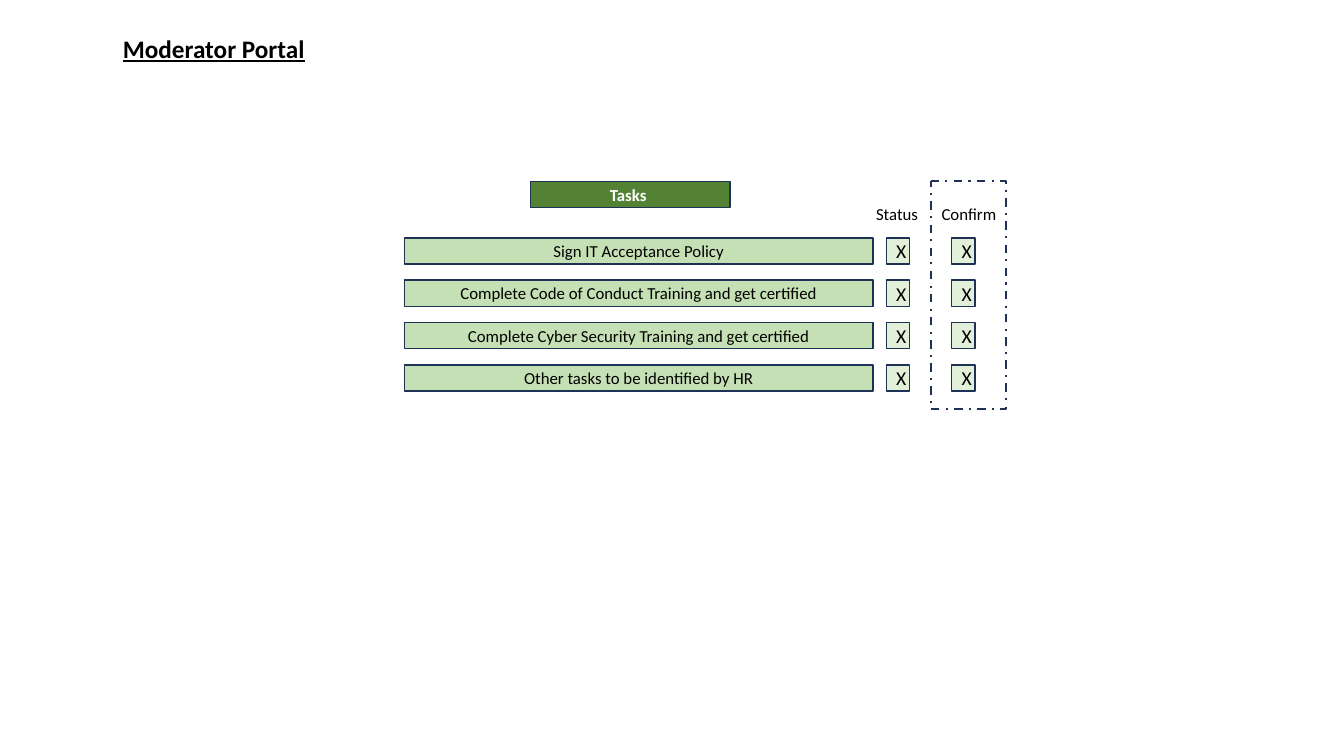
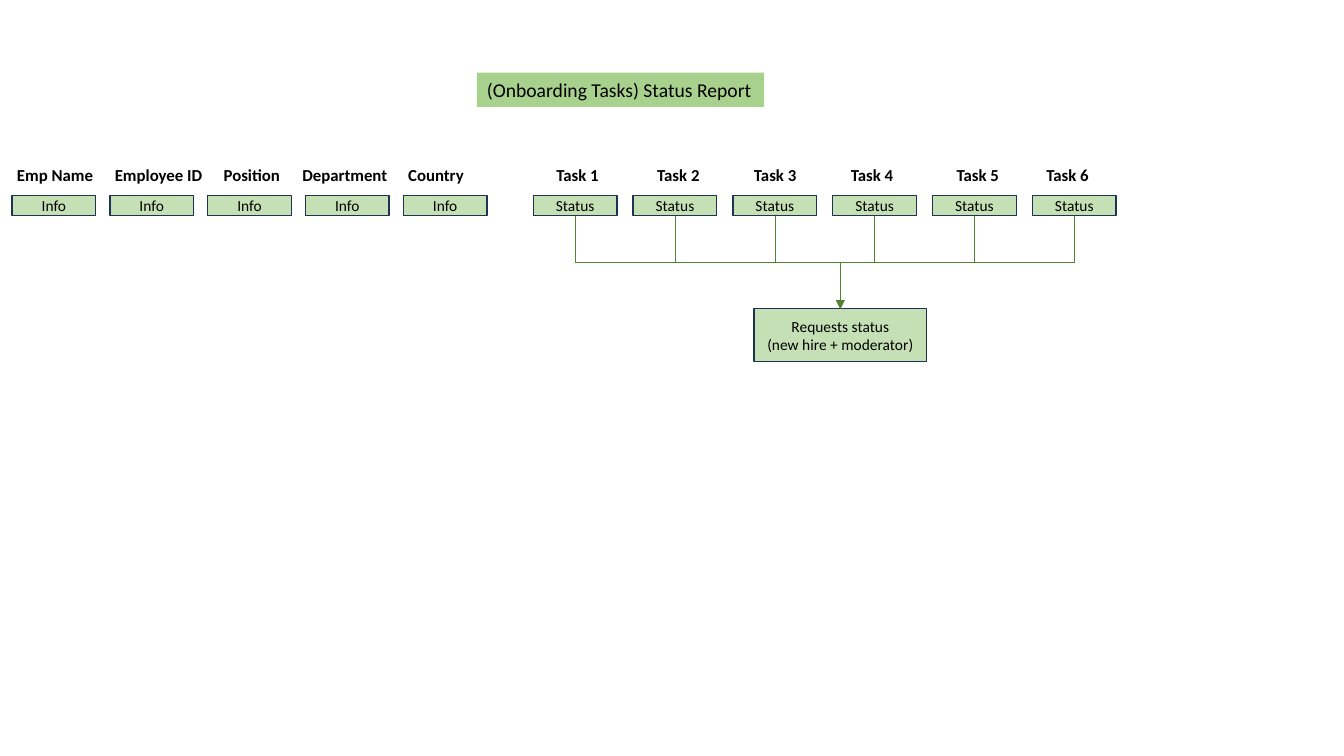
import pptx
import pptx.util
import pptx.dml.color
import pptx.enum.dml
import pptx.enum.shapes
import pptx.enum.text
import pptx.oxml.ns
import lxml.etree

Inches = pptx.util.Inches
Shape = pptx.enum.shapes.MSO_SHAPE
Anchor = pptx.enum.text.MSO_ANCHOR
Align = pptx.enum.text.PP_ALIGN
qn = pptx.oxml.ns.qn

FONT = "Calibri"
COLORS = {
    "text": "000000",
    "white": "FFFFFF",
    "outline": "1E3256",
    "dark": "548235",
    "banner": "A9D18E",
    "box": "C5E0B4",
    "check": "E2F0D9",
}


def rgb(name):
    return pptx.dml.color.RGBColor.from_string(COLORS[name])


def write(frame, text, size, color="text", bold=False, underline=False, align=Align.LEFT):
    frame.text = text
    for paragraph in frame.paragraphs:
        paragraph.alignment = align
        for run in paragraph.runs:
            run.font.name = FONT
            run.font.size = pptx.util.Pt(size)
            run.font.bold = bold
            run.font.underline = underline
            run.font.color.rgb = rgb(color)


def add_label(slide, text, left, top, width, height, size, **style):
    """One-line text that keeps its own width."""
    label = slide.shapes.add_textbox(Inches(left), Inches(top), Inches(width), Inches(height))
    write(label.text_frame, text, size, **style)
    label.text_frame.word_wrap = False
    label.text_frame.auto_size = pptx.enum.text.MSO_AUTO_SIZE.SHAPE_TO_FIT_TEXT
    return label


def add_box(slide, text, left, top, width, height, size, fill="box", **style):
    """Outlined rectangle with centred text."""
    box = slide.shapes.add_shape(
        Shape.RECTANGLE, Inches(left), Inches(top), Inches(width), Inches(height))
    box.shadow.inherit = False
    box.fill.solid()
    box.fill.fore_color.rgb = rgb(fill)
    box.line.color.rgb = rgb("outline")
    box.line.width = pptx.util.Pt(1)
    box.text_frame.vertical_anchor = Anchor.MIDDLE
    write(box.text_frame, text, size, align=Align.CENTER, **style)
    return box


def add_drop_arrow(slide, source, target):
    """Elbow arrow from the bottom of source, down and across to the top of target."""
    start_x, start_y = source.left + source.width // 2, source.top + source.height
    end_x, end_y = target.left + target.width // 2, target.top
    arrow = slide.shapes.add_connector(
        pptx.enum.shapes.MSO_CONNECTOR.ELBOW, start_x, start_y, end_x, end_y)
    arrow.begin_connect(source, 2)
    arrow.end_connect(target, 0)

    # Turn the elbow so that it leaves and arrives vertically
    drop, shift = end_y - start_y, abs(end_x - start_x)
    arrow.left = (start_x + end_x - drop) // 2
    arrow.top = (start_y + end_y - shift) // 2
    arrow.width, arrow.height = drop, shift
    to_right = end_x > start_x
    properties = arrow._element.spPr
    xfrm = properties.find(qn("a:xfrm"))
    xfrm.set("rot", str((270 if to_right else 90) * 60000))
    xfrm.set("flipH", "1" if to_right else "0")

    arrow.line.color.rgb = rgb("dark")
    arrow.line.width = pptx.util.Pt(0.5)
    lxml.etree.SubElement(properties.find(qn("a:ln")), qn("a:tailEnd"), type="triangle")
    lxml.etree.SubElement(properties, qn("a:effectLst"))


def add_confirm_frame(slide, left, top, width, height):
    frame = slide.shapes.add_shape(
        Shape.ACTION_BUTTON_CUSTOM, Inches(left), Inches(top), Inches(width), Inches(height))
    frame.shadow.inherit = False
    frame.fill.background()
    frame.line.color.rgb = rgb("outline")
    frame.line.width = pptx.util.Pt(1.5)
    frame.line.dash_style = pptx.enum.dml.MSO_LINE.DASH_DOT


def add_task_list(slide, left, top, tasks):
    """Task rows, each with a status and a confirm mark."""
    row_pitch, row_height = 0.42, 0.26
    add_confirm_frame(slide, left + 5.22, top, 0.75, 2.26)
    add_box(slide, "Tasks ", left + 1.25, top, 1.98, row_height, 12,
            fill="dark", color="white", bold=True)
    add_label(slide, "Status", left + 4.58, top + 0.17, 0.62, 0.3, 12)
    add_label(slide, "Confirm", left + 5.23, top + 0.17, 0.75, 0.3, 12)
    for row, task in enumerate(tasks):
        row_top = top + 0.56 + row * row_pitch
        add_box(slide, task, left, row_top, 4.65, row_height, 12)
        for mark_offset in (4.78, 5.43):
            add_box(slide, "X", left + mark_offset, row_top, 0.23, row_height, 14, fill="check")


def add_report_columns(slide, left, top, pitch, value, headings):
    """Bold headings (text, offset, width) over evenly spaced value boxes."""
    boxes = []
    for column, (heading, offset, width) in enumerate(headings):
        add_label(slide, heading, left + offset, top, width, 0.3, 12, bold=True)
        boxes.append(add_box(slide, value, left + column * pitch, top + 0.35, 0.83, 0.2, 11))
    return boxes


def build_moderator_portal(slide):
    add_label(slide, "Moderator Portal", 1.12, 0.28, 2.02, 0.4, 18, bold=True, underline=True)
    add_task_list(slide, 4.01, 1.8, [
        "Sign IT Acceptance Policy",
        "Complete Code of Conduct Training and get certified",
        "Complete Cyber Security Training and get certified",
        "Other tasks to be identified by HR",
    ])


def build_status_report(slide):
    # Banner
    banner = add_label(slide, "(Onboarding Tasks) Status Report", 4.73, 0.72, 2.85, 0.34, 14)
    banner.fill.solid()
    banner.fill.fore_color.rgb = rgb("banner")

    # Employee details and task statuses
    add_report_columns(slide, 0.12, 1.59, 0.97, "Info", [
        ("Emp Name", -0.05, 0.96),
        ("Employee ID", 0.92, 1.08),
        ("Position", 2, 0.77),
        ("Department", 2.78, 1.05),
        ("Country", 3.83, 0.76),
    ])
    task_offsets = [0.13, 1.13, 2.09, 3.05, 4.1, 4.99]
    statuses = add_report_columns(slide, 5.29, 1.59, 0.99, "Status", [
        (f"Task {number}", offset, 0.63) for number, offset in enumerate(task_offsets, 1)])

    # All statuses lead to the combined request status
    requests = add_box(slide, "Requests status\n(new hire + moderator)", 7.48, 3.06, 1.71, 0.53, 11)
    for status in statuses:
        add_drop_arrow(slide, status, requests)


def main():
    deck = pptx.Presentation()
    deck.slide_width, deck.slide_height = Inches(13.33), Inches(7.5)
    blank = deck.slide_layouts[6]
    for build in (build_moderator_portal, build_status_report):
        build(deck.slides.add_slide(blank))
    deck.save("out.pptx")


if __name__ == "__main__":
    main()
